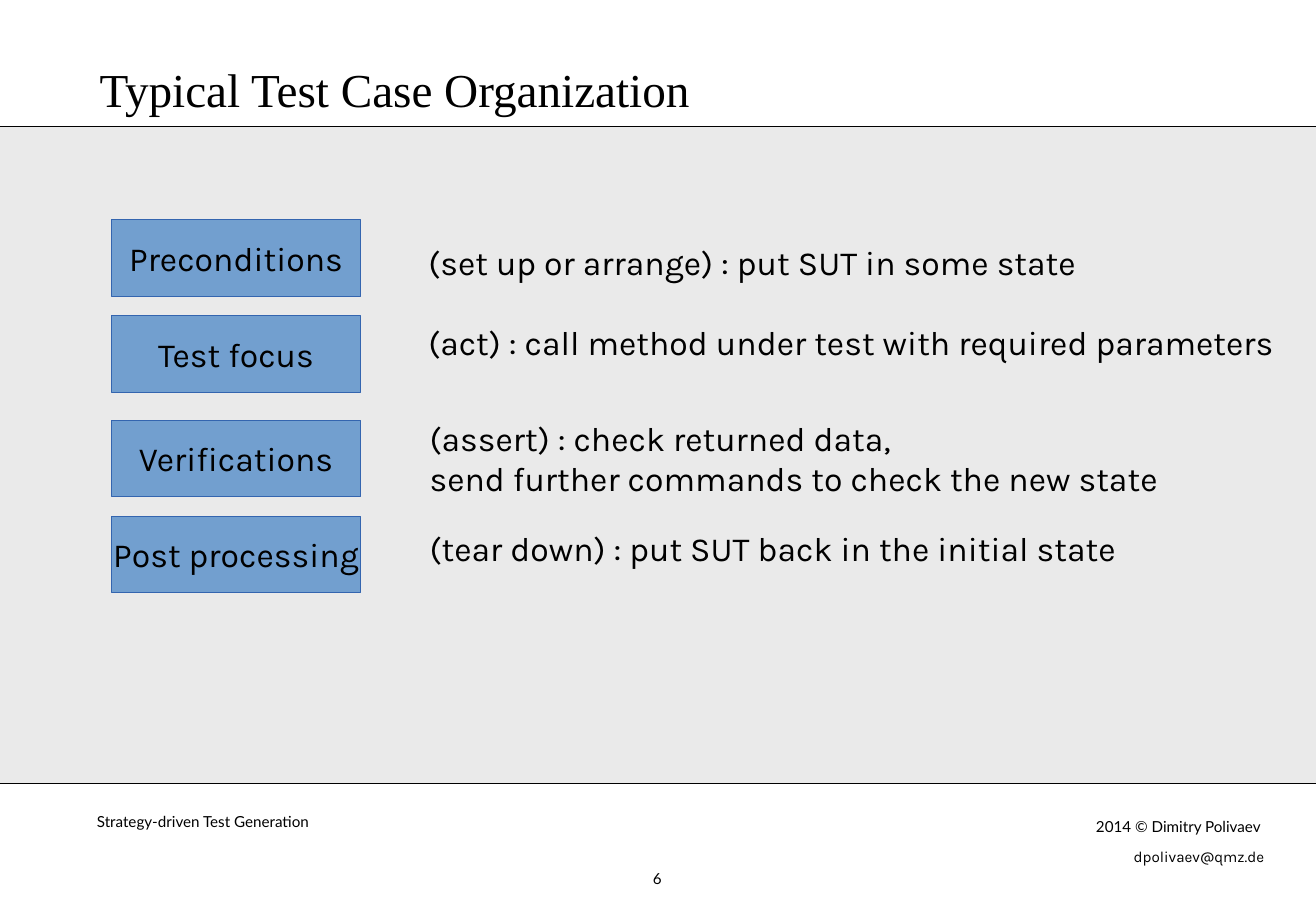
"""Build the slide on typical test case organization."""
from lxml.etree import SubElement
from pptx import Presentation
from pptx.dml.color import RGBColor
from pptx.enum.shapes import MSO_CONNECTOR as Link, MSO_SHAPE as Kind
from pptx.enum.text import MSO_ANCHOR as Anchor, MSO_AUTO_SIZE as Fit, PP_ALIGN as Align
from pptx.oxml.ns import qn
from pptx.util import Inches, Pt

WIDE, HIGH = 10.84, 7.5
TOP, BASE = 1.04, 6.45
STEPS = [
    ("Preconditions", 1.81, "(set up or arrange) : put SUT in some state",
     (3.43, 1.94, 5.71, 0.43)),
    ("Test focus", 2.6, "(act) : call method under test with required parameters",
     (3.43, 2.6, 7.36, 0.43)),
    ("Verifications", 3.46,
     "(assert) : check returned data,\nsend further commands to check the new state",
     (3.44, 3.39, 6.36, 0.77)),
    ("Post processing", 4.25, "(tear down) : put SUT back in the initial state",
     (3.44, 4.3, 5.95, 0.43)),
]
NOTES = [
    ("Strategy-driven Test Generation", (0.7, 6.64, 3.37, 0.25), "Lato"),
    ("2014 © Dimitry Polivaev", (8.93, 6.68, 1.6, 0.25), "Lato"),
    ("dpolivaev@qmz.de", (9.24, 6.93, 1.31, 0.25), "Karla"),
]
FLUSH = dict.fromkeys(
    ("margin_left", "margin_top", "margin_right", "margin_bottom"), 0)


def tint(code):
    return RGBColor.from_string(code)


def apply(item, vals):
    for name, val in vals.items():
        setattr(item, name, val)


def write(shape, text, size, font, frame, para=None):
    body = shape.text_frame
    apply(body, frame)
    line = body.paragraphs[0]
    line.text = text
    apply(line, para or {})
    for run in line.runs:
        apply(run.font, {"size": Pt(size), "name": font})
        run.font.color.rgb = tint("000000")


def add_rect(slide, area, fill, edge=None):
    rect = slide.shapes.add_shape(Kind.RECTANGLE, *map(Inches, area))
    rect.shadow.inherit = False
    rect.fill.solid()
    rect.fill.fore_color.rgb = tint(fill)
    if edge:
        rect.line.color.rgb = tint(edge)
        rect.line.width = Pt(0)
    else:
        rect.line.fill.background()
    return rect


def add_rule(slide, y):
    rule = slide.shapes.add_connector(
        Link.STRAIGHT, 0, Inches(y), Inches(WIDE), Inches(y))
    rule.line.color.rgb = tint("000000")
    rule.line.width = Pt(0.75)
    SubElement(rule._element.spPr, qn("a:effectLst"))


def add_text(slide, text, area, size, font, frame=None, para=None):
    box = slide.shapes.add_textbox(*map(Inches, area))
    base = {"word_wrap": False, "auto_size": Fit.SHAPE_TO_FIT_TEXT}
    write(box, text, size, font, {**base, **(frame or {})}, para)


def add_title(slide, text):
    title = slide.shapes.title
    apply(title, {"left": Inches(0.82), "top": Inches(0.47),
                  "width": Inches(9.19), "height": Inches(0.49)})
    frame = {**FLUSH, "vertical_anchor": Anchor.BOTTOM,
             "word_wrap": True, "auto_size": Fit.SHAPE_TO_FIT_TEXT}
    write(title, text, 28, "Times New Roman", frame,
          {"alignment": Align.LEFT, "line_spacing": 0.8})


def add_step(slide, name, top, text, area):
    rect = add_rect(slide, (0.92, top, 2.05, 0.63), "729FCF", "3465AF")
    write(rect, name, 20, "Karla",
          {"word_wrap": False, "vertical_anchor": Anchor.MIDDLE},
          {"alignment": Align.CENTER})
    add_text(slide, text, area, 20, "Karla")


def main():
    deck = Presentation()
    apply(deck, {"slide_width": Inches(WIDE), "slide_height": Inches(HIGH)})
    slide = deck.slides.add_slide(deck.slide_layouts.get_by_name("Title Only"))
    add_rect(slide, (0, TOP, WIDE, BASE - TOP), "EAEAEA")
    for y in (TOP, BASE):
        add_rule(slide, y)
    add_title(slide, "Typical Test Case Organization")
    for step in STEPS:
        add_step(slide, *step)
    for text, area, font in NOTES:
        add_text(slide, text, area, 9, font)
    add_text(slide, "6", (5.11, 7.16, 0.61, 0.17), 9, "Lato", FLUSH,
             {"alignment": Align.CENTER})
    deck.save("out.pptx")


if __name__ == "__main__":
    main()
